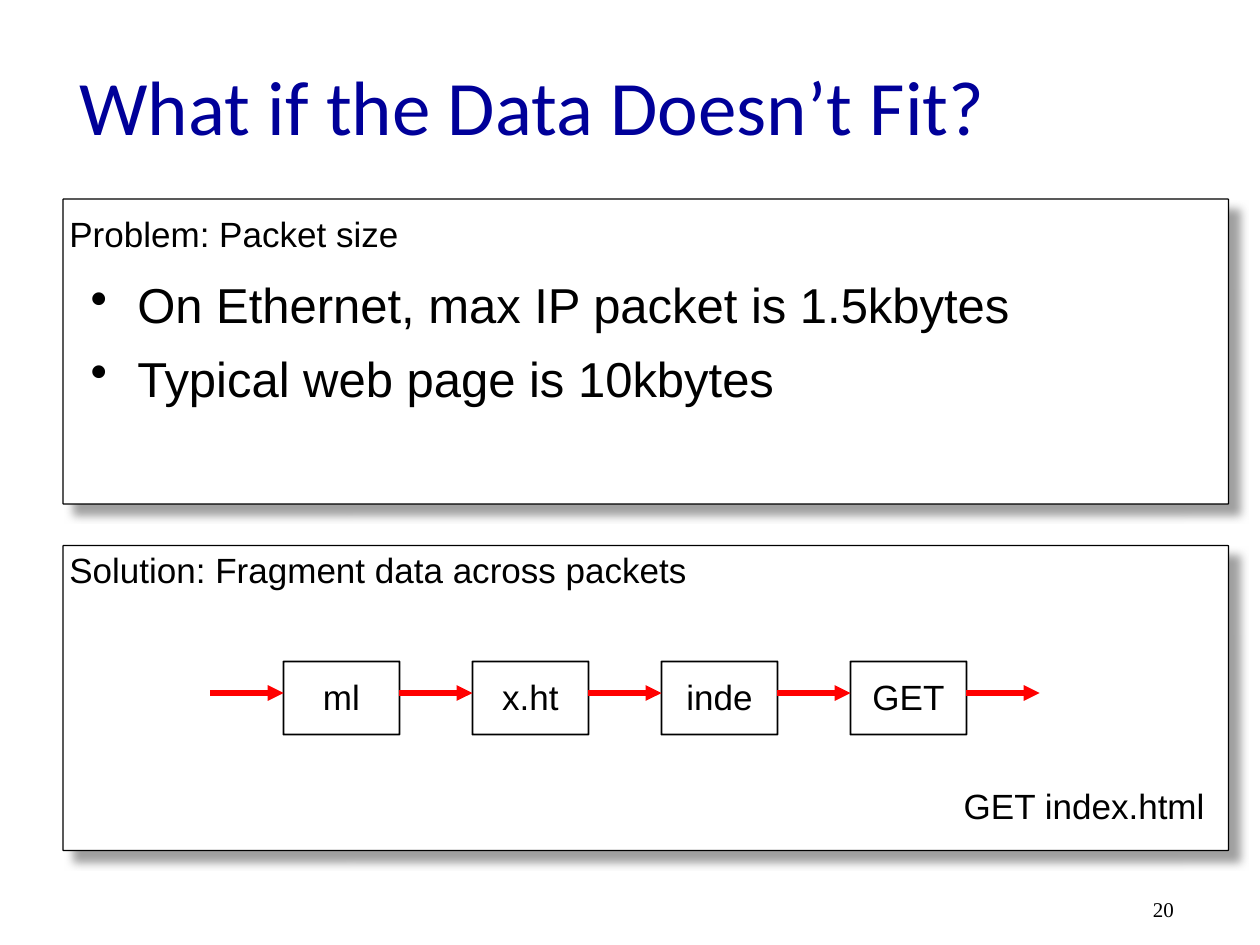
from dataclasses import dataclass

from lxml import etree
from pptx import Presentation
from pptx.dml.color import RGBColor
from pptx.enum.shapes import MSO_CONNECTOR, MSO_SHAPE
from pptx.enum.text import MSO_ANCHOR, PP_ALIGN
from pptx.oxml import parse_xml
from pptx.oxml.ns import nsdecls, qn
from pptx.util import Inches, Pt

ROUNDED = MSO_SHAPE.ROUNDED_RECTANGLE
STRAIGHT = MSO_CONNECTOR.STRAIGHT
LEFT, CENTER = PP_ALIGN.LEFT, PP_ALIGN.CENTER
TOP, MIDDLE = MSO_ANCHOR.TOP, MSO_ANCHOR.MIDDLE


@dataclass(frozen=True)
class Theme:
    ink: RGBColor = RGBColor(0, 0, 0)
    paper: RGBColor = RGBColor(255, 255, 255)
    title: RGBColor = RGBColor(0, 0, 0x99)
    arrow: RGBColor = RGBColor(255, 0, 0)
    shadow: str = "808080"
    body_font: str = "Arial"
    title_font: str = "Calibri"
    number_font: str = "Times New Roman"
    title_size: int = 44
    bullet_size: int = 28
    label_size: int = 20
    number_size: int = 12
    line_spacing: float = 0.93


@dataclass(frozen=True)
class Box:
    left: float
    top: float
    width: float
    height: float

    def lengths(self) -> tuple:
        return tuple(Inches(v) for v in (self.left, self.top, self.width, self.height))


@dataclass(frozen=True)
class Panel:
    heading: str
    box: Box
    heading_top: float


THEME = Theme()
PANELS = [
    Panel("Solution: Fragment data across packets", Box(0.5, 4.33, 9.25, 2.42), 4.33),
    Panel("Problem: Packet size", Box(0.5, 1.58, 9.25, 2.42), 1.67),
]
BULLETS = ["On Ethernet, max IP packet is 1.5kbytes", "Typical web page is 10kbytes"]
FRAGMENTS = ["ml", "x.ht", "inde", "GET"]
FRAGMENT_LEFT, FRAGMENT_TOP, FRAGMENT_PITCH = 2.25, 5.25, 1.5
FRAGMENT_WIDTH, FRAGMENT_HEIGHT = 0.92, 0.58
ARROW_LENGTH = FRAGMENT_PITCH - FRAGMENT_WIDTH
ARROW_TOP = 5.5


def set_frame(frame, wrap: bool = True, anchor=TOP) -> None:
    frame.word_wrap = wrap
    frame.vertical_anchor = anchor
    frame.margin_left = frame.margin_right = Inches(0.05)
    frame.margin_top = frame.margin_bottom = Inches(0.05)


def style_paragraph(paragraph, size: int, font: str = THEME.body_font,
                    color: RGBColor = THEME.ink, align=LEFT,
                    spacing: float = THEME.line_spacing) -> None:
    paragraph.alignment = align
    paragraph.line_spacing = spacing
    paragraph.font.size = Pt(size)
    paragraph.font.name = font
    paragraph.font.color.rgb = color


def add_text(slide, box: Box, text: str, wrap: bool = True, anchor=TOP,
             size: int = THEME.label_size, **style) -> None:
    frame = slide.shapes.add_textbox(*box.lengths()).text_frame
    set_frame(frame, wrap, anchor)
    paragraph = frame.paragraphs[0]
    paragraph.text = text
    style_paragraph(paragraph, size, **style)


def add_rectangle(slide, box: Box, line_width: float):
    shape = slide.shapes.add_shape(ROUNDED, *box.lengths())
    shape.adjustments[0] = 0.002
    shape.shadow.inherit = False
    shape.fill.solid()
    shape.fill.fore_color.rgb = THEME.paper
    shape.line.color.rgb = THEME.ink
    shape.line.width = Pt(line_width)
    return shape


def add_drop_shadow(shape) -> None:
    effects = shape._element.spPr.find(qn("a:effectLst"))
    effects.append(parse_xml(
        f'<a:outerShdw {nsdecls("a")} blurRad="{Pt(5)}" dist="{Pt(8.5)}" '
        f'dir="2700000" algn="tl" rotWithShape="0"><a:srgbClr val="{THEME.shadow}">'
        '<a:alpha val="75000"/></a:srgbClr></a:outerShdw>'))


def add_panel(slide, panel: Panel) -> None:
    add_drop_shadow(add_rectangle(slide, panel.box, 0.75))


def add_heading(slide, panel: Panel) -> None:
    add_text(slide, Box(panel.box.left, panel.heading_top, 5.42, 0.41), panel.heading)


def add_title(slide, text: str) -> None:
    title = slide.shapes.title
    title.left, title.top, title.width, title.height = Box(0.58, 0.25, 8.5, 1.25).lengths()
    set_frame(title.text_frame, anchor=MIDDLE)
    paragraph = title.text_frame.paragraphs[0]
    paragraph.text = text
    style_paragraph(paragraph, THEME.title_size, THEME.title_font, THEME.title)


def add_bullets(slide, box: Box, items: list[str]) -> None:
    frame = slide.shapes.add_textbox(*box.lengths()).text_frame
    set_frame(frame)
    for index, item in enumerate(items):
        paragraph = frame.paragraphs[0] if index == 0 else frame.add_paragraph()
        paragraph.text = item
        properties = paragraph._p.get_or_add_pPr()
        properties.set("marL", str(Inches(0.37)))
        properties.set("indent", str(-Inches(0.37)))
        etree.SubElement(properties, qn("a:buChar"), char="•")
        style_paragraph(paragraph, THEME.bullet_size,
                        spacing=1.0 if index else THEME.line_spacing)
        if index:
            paragraph.space_before = Pt(8)


def add_fragment(slide, left: float, text: str) -> None:
    add_rectangle(slide, Box(left, FRAGMENT_TOP, FRAGMENT_WIDTH, FRAGMENT_HEIGHT), 1)
    add_text(slide, Box(left, FRAGMENT_TOP + 0.09, FRAGMENT_WIDTH, 0.41), text,
             anchor=MIDDLE, align=CENTER)


def add_arrow(slide, left: float) -> None:
    arrow = slide.shapes.add_connector(
        STRAIGHT, Inches(left), Inches(ARROW_TOP),
        Inches(left + ARROW_LENGTH), Inches(ARROW_TOP))
    arrow.line.color.rgb = THEME.arrow
    arrow.line.width = Pt(3)
    etree.SubElement(arrow.line._get_or_add_ln(), qn("a:tailEnd"), type="triangle")
    etree.SubElement(arrow._element.spPr, qn("a:effectLst"))


def main() -> None:
    presentation = Presentation()
    presentation.slide_width, presentation.slide_height = Inches(10), Inches(7.5)
    slide = presentation.slides.add_slide(presentation.slide_layouts[5])
    add_title(slide, "What if the Data Doesn’t Fit?")
    add_text(slide, Box(9.1, 7.07, 0.28, 0.3), "20", wrap=False,
             size=THEME.number_size, font=THEME.number_font, spacing=1.0)
    for panel in PANELS:
        add_panel(slide, panel)
        add_heading(slide, panel)
    add_bullets(slide, Box(0.67, 2.17, 9, 1.04), BULLETS)
    for index, text in enumerate(FRAGMENTS):
        add_fragment(slide, FRAGMENT_LEFT + index * FRAGMENT_PITCH, text)
    for index in range(len(FRAGMENTS) + 1):
        add_arrow(slide, FRAGMENT_LEFT - ARROW_LENGTH + index * FRAGMENT_PITCH)
    add_text(slide, Box(7.59, 6.21, 2.03, 0.41), "GET index.html", wrap=False,
             anchor=MIDDLE, align=CENTER)
    presentation.save("out.pptx")


if __name__ == "__main__":
    main()
